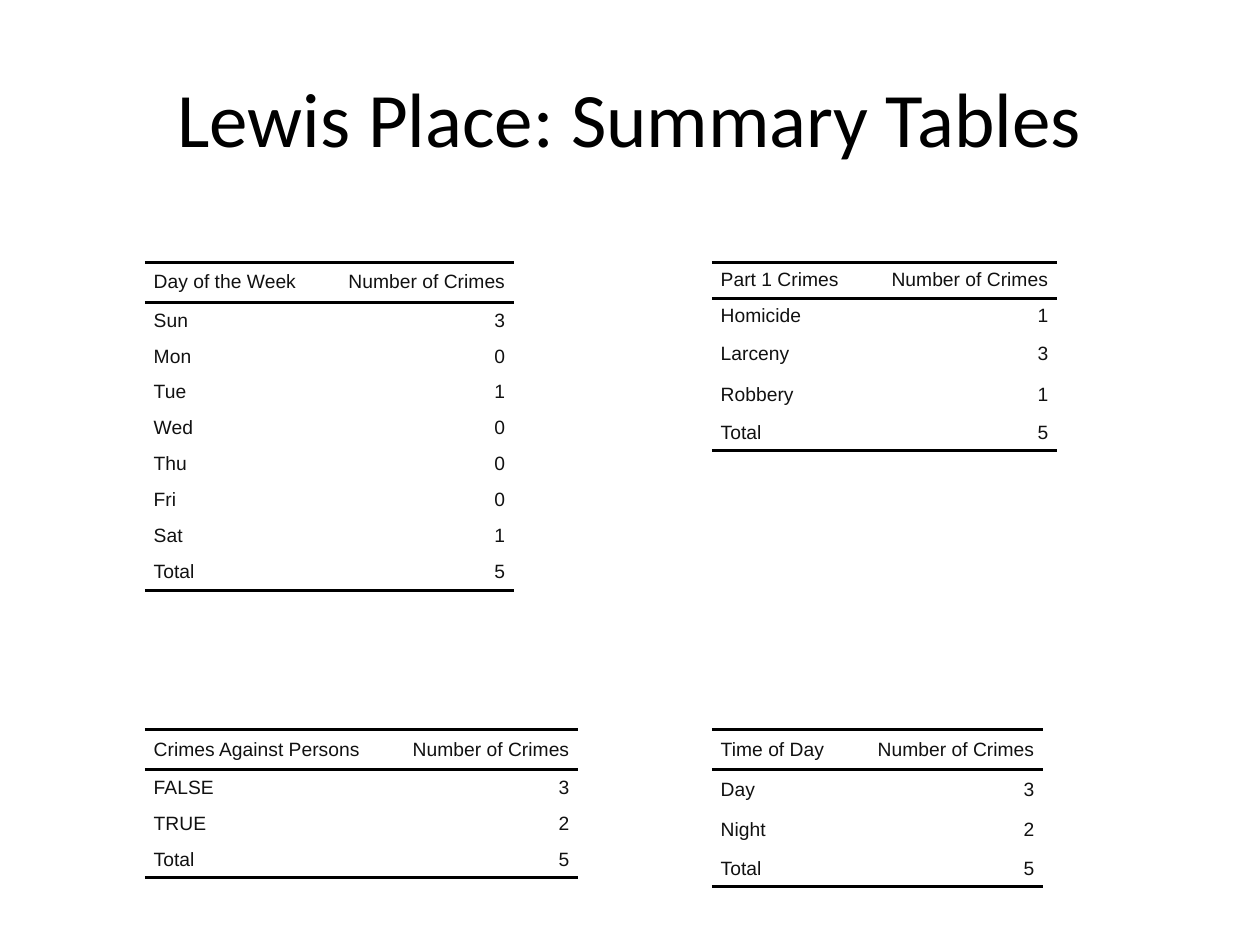
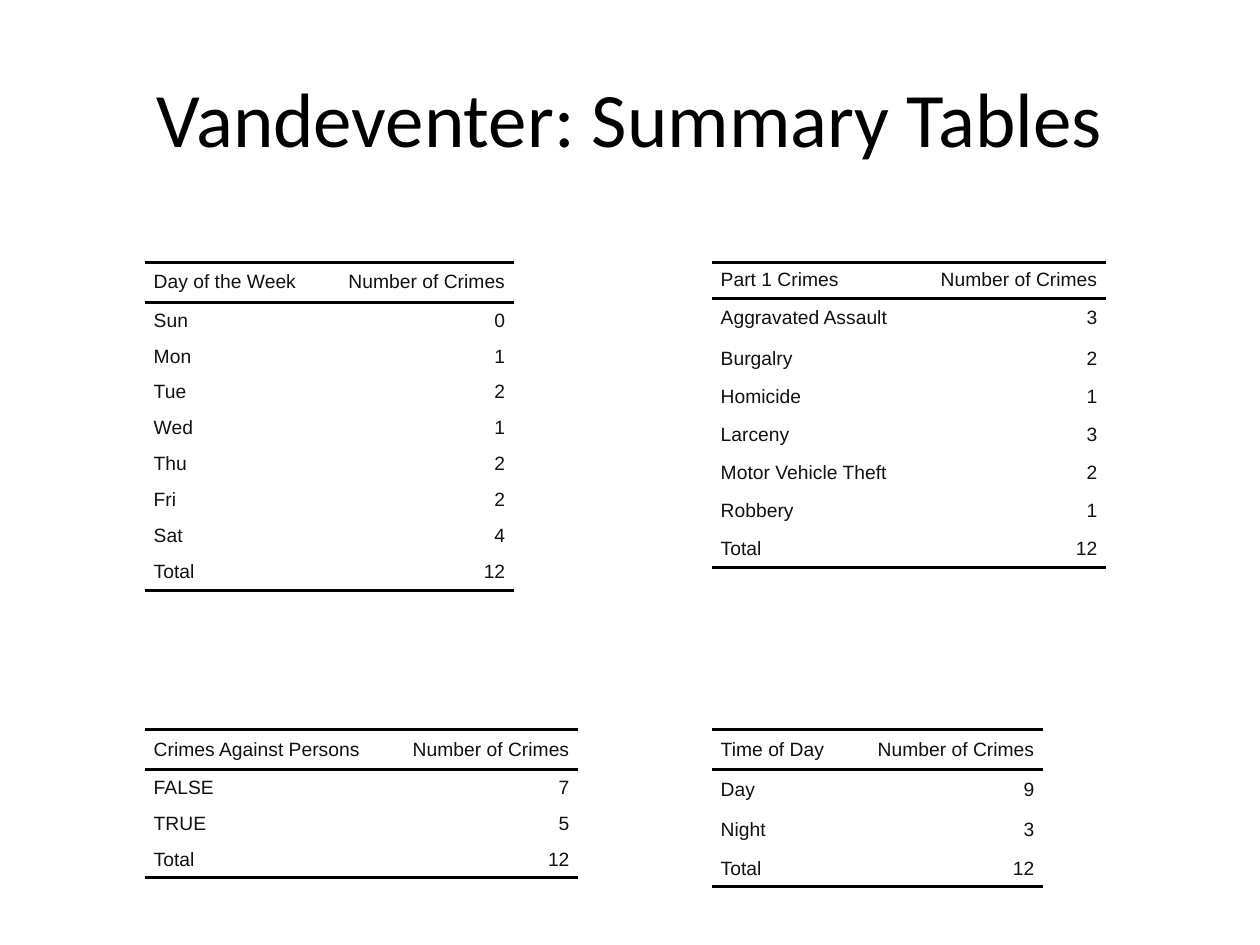
from lxml import etree
from pptx import Presentation
from pptx.dml.color import RGBColor
from pptx.enum.text import MSO_ANCHOR, PP_ALIGN
from pptx.oxml.ns import qn
from pptx.util import Inches, Pt

MIDDLE = MSO_ANCHOR.MIDDLE
LEFT, CENTER, RIGHT = PP_ALIGN.LEFT, PP_ALIGN.CENTER, PP_ALIGN.RIGHT

# Shared look
BLACK = RGBColor(0x00, 0x00, 0x00)
CELL_TEXT = RGBColor(0x11, 0x11, 0x11)
TITLE_FONT, TABLE_FONT = "Calibri", "Arial"
NO_STYLE = "{2D5ABB26-0587-4C30-8999-92F81FD0307C}"
RULE_WIDTH = Pt(2)
CELL_INDENT = Inches(0.07)
CELL_SPACING = Pt(2)

# Grid of the four tables
LEFT_COLUMN, RIGHT_COLUMN = Inches(1.15), Inches(5.65)
TOP_ROW, BOTTOM_ROW = Inches(2.08), Inches(5.79)
COUNT_WIDTH = Inches(1.52)
ROW_HEIGHT = Inches(2) // 7
TALL_HEIGHT = Inches(0.32)

DAYS = ["Sun", "Mon", "Tue", "Wed", "Thu", "Fri", "Sat"]

# Per area: crimes by type, label width and tall rows of that table,
# then counts by day, by crime against a person and by time of day
AREAS = [
    ("Lewis Place",
     {"Homicide": 1, "Larceny": 3, "Robbery": 1}, 1.22, {2, 3},
     [3, 0, 1, 0, 0, 0, 1], [3, 2], [3, 2]),
    ("Vandeventer",
     {"Aggravated Assault": 3, "Burgalry": 2, "Homicide": 1, "Larceny": 3,
      "Motor Vehicle Theft": 2, "Robbery": 1}, 1.61, {1, 2, 4, 6},
     [0, 1, 2, 1, 2, 2, 4], [7, 5], [9, 3]),
]


def add_run(paragraph, text, font_name, size, color):
    run = paragraph.add_run()
    run.text = text
    run.font.name = font_name
    run.font.size = Pt(size)
    run.font.color.rgb = color


def add_title(slide, text):
    box = slide.shapes.add_textbox(Inches(0.5), Inches(0.3), Inches(9), Inches(1.25))
    frame = box.text_frame
    frame.word_wrap = True
    frame.vertical_anchor = MIDDLE
    paragraph = frame.paragraphs[0]
    paragraph.alignment = CENTER
    add_run(paragraph, text, TITLE_FONT, 44, BLACK)


def add_rules(cell, sides):
    """Draw black borders; they must come before the fill in the cell."""
    properties = cell._tc.get_or_add_tcPr()
    for position, side in enumerate(sides):
        line = etree.Element(qn(f"a:ln{side}"), w=str(RULE_WIDTH))
        fill = etree.SubElement(line, qn("a:solidFill"))
        etree.SubElement(fill, qn("a:srgbClr"), val=str(BLACK))
        properties.insert(position, line)


def fill_cell(cell, text, alignment, rule_sides):
    cell.margin_left = cell.margin_right = cell.margin_top = cell.margin_bottom = 0
    cell.vertical_anchor = MIDDLE
    cell.fill.background()
    add_rules(cell, rule_sides)
    paragraph = cell.text_frame.paragraphs[0]
    paragraph.alignment = alignment
    paragraph.space_before = paragraph.space_after = CELL_SPACING
    for margin in ("marL", "marR"):
        paragraph._p.get_or_add_pPr().set(margin, str(CELL_INDENT))
    add_run(paragraph, text, TABLE_FONT, 11, CELL_TEXT)


def add_count_table(slide, left, top, heading, counts, label_width, tall_rows):
    """Add a table of counts with a heading row and a computed total."""
    rows = [(heading, "Number of Crimes"), *counts.items(),
            ("Total", sum(counts.values()))]
    heights = [TALL_HEIGHT if index in tall_rows else ROW_HEIGHT
               for index in range(len(rows))]
    widths = [Inches(label_width), COUNT_WIDTH]
    table = slide.shapes.add_table(len(rows), 2, left, top,
                                   sum(widths), sum(heights)).table
    table.first_row = table.horz_banding = False
    table._tbl.tblPr.find(qn("a:tableStyleId")).text = NO_STYLE
    for column, width in zip(table.columns, widths):
        column.width = width
    rules = {0: "TB", len(rows) - 1: "B"}
    for index, (values, height) in enumerate(zip(rows, heights)):
        table.rows[index].height = height
        for column, alignment in enumerate((LEFT, RIGHT)):
            fill_cell(table.cell(index, column), str(values[column]),
                      alignment, rules.get(index, ""))


def add_area_slide(presentation, area, crimes, crime_width, crime_tall_rows,
                   by_day, by_person, by_time):
    slide = presentation.slides.add_slide(presentation.slide_layouts[6])
    add_title(slide, f"{area}: Summary Tables")
    add_count_table(slide, RIGHT_COLUMN, TOP_ROW, "Part 1 Crimes",
                    crimes, crime_width, crime_tall_rows)
    add_count_table(slide, LEFT_COLUMN, TOP_ROW, "Day of the Week",
                    dict(zip(DAYS, by_day)), 1.41, {0})
    add_count_table(slide, LEFT_COLUMN, BOTTOM_ROW, "Crimes Against Persons",
                    dict(zip(["FALSE", "TRUE"], by_person)), 1.92, {0})
    add_count_table(slide, RIGHT_COLUMN, BOTTOM_ROW, "Time of Day",
                    dict(zip(["Day", "Night"], by_time)), 1.11, {0, 1, 2})


def main():
    presentation = Presentation()
    presentation.slide_width = Inches(10)
    presentation.slide_height = Inches(7.5)
    for area in AREAS:
        add_area_slide(presentation, *area)
    presentation.save("out.pptx")


if __name__ == "__main__":
    main()
